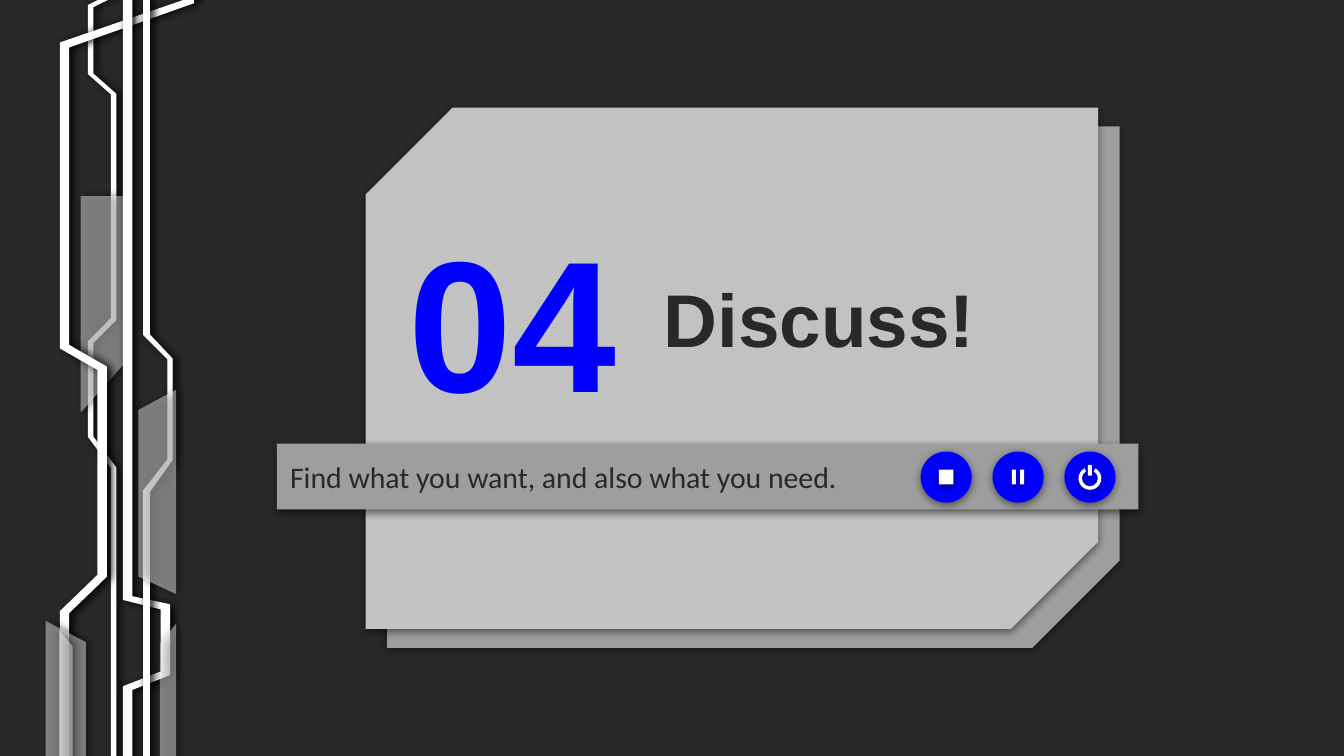
from dataclasses import dataclass

from lxml.etree import SubElement
from pptx import Presentation
from pptx.dml.color import RGBColor
from pptx.enum.shapes import MSO_SHAPE as Preset
from pptx.enum.text import MSO_ANCHOR as Anchor, PP_ALIGN as Align
from pptx.oxml.ns import qn
from pptx.util import Inches, Pt


@dataclass(frozen=True)
class Theme:
    """Colours, fonts and type sizes of the slide."""
    dark: str = "292929"
    bar: str = "9E9E9E"
    card: str = "C2C2C2"
    accent: str = "0000FF"
    white: str = "FFFFFF"
    heading: str = "Arial"
    body: str = "Calibri"
    number_size: int = 100
    title_size: int = 40
    body_size: int = 16


@dataclass(frozen=True)
class Shadow:
    """Outer shadow: opacity in percent, direction in degrees."""
    opacity: int
    direction: int


@dataclass(frozen=True)
class Circuit:
    """Outline of the left decoration; panels are translucent."""
    points: tuple
    panel: bool = False


@dataclass(frozen=True)
class Label:
    """Text with its box and type style."""
    text: str
    box: tuple
    font: str
    size: int
    color: str
    bold: bool = False
    align: Align = Align.LEFT


THEME = Theme()
DOWN, SIDE = Shadow(50, 90), Shadow(100, 0)
PANEL_OPACITY = 43

CIRCUITS = (
    Circuit(((1.25, -1.91), (1.25, -0.25), (0.66, 0.04), (0.66, 0.55), (0.83, 0.7),
             (0.83, 2.37), (0.66, 2.54), (0.66, 3.25), (0.83, 3.48), (0.83, 5.66),
             (0.86, 5.66), (0.86, 3.48), (0.69, 3.25), (0.69, 2.55), (0.86, 2.38),
             (0.86, 0.7), (0.69, 0.55), (0.69, 0.05), (1.28, -0.24), (1.28, -1.91))),
    Circuit(((0.6, 1.46), (0.6, 3.07), (0.94, 2.69), (0.94, 1.46)), panel=True),
    Circuit(((1.38, -1.96), (1.38, 0), (0.45, 0.32), (0.45, 2.59), (0.73, 2.75),
             (0.73, 4.28), (0.45, 4.55), (0.45, 5.9), (0.51, 5.9), (0.51, 4.56),
             (0.79, 4.29), (0.79, 2.73), (0.51, 2.57), (0.51, 0.35), (1.44, 0.02),
             (1.44, -1.96))),
    Circuit(((0.92, -2.03), (0.92, 4.46), (1.2, 4.53), (1.2, 5), (0.92, 5.11),
             (0.92, 5.66), (0.98, 5.66), (0.98, 5.13), (1.26, 5.02), (1.26, 4.5),
             (0.98, 4.44), (0.98, -2.03))),
    Circuit(((1.07, -2.03), (1.07, 2.49), (1.25, 2.67), (1.25, 3.42), (1.07, 3.65),
             (1.07, 5.96), (1.11, 5.96), (1.11, 3.66), (1.28, 3.42), (1.28, 2.67),
             (1.11, 2.49), (1.11, -2.03))),
    Circuit(((0.34, 4.62), (0.34, 6.19), (0.64, 6.19), (0.64, 4.78)), panel=True),
    Circuit(((1.31, 2.9), (1.03, 3.05), (1.03, 4.29), (1.31, 4.42)), panel=True),
    Circuit(((1.31, 4.64), (1.19, 4.79), (1.19, 6.03), (1.31, 6.17)), panel=True),
    Circuit(((0.44, 4.69), (0.44, 6.13), (0.54, 5.99), (0.54, 4.81)), panel=True),
)

LABELS = (
    Label("Discuss!", (4.84, 1.6, 3.58, 1.53), THEME.heading, THEME.title_size,
          THEME.dark, bold=True),
    Label("04", (2.5, 1.6, 2.63, 1.53), THEME.heading, THEME.number_size,
          THEME.accent, bold=True, align=Align.CENTER),
)
TAGLINE = Label("Find what you want, and also what you need.", (2.06, 3.3, 6.41, 0.49),
                THEME.body, THEME.body_size, THEME.dark)

BUTTON_SIZE, BUTTON_Y = 0.38, 3.55
STOP_X, PAUSE_X, POWER_X = (7.04 + 0.535 * step for step in range(3))


def paint(shape, color: str, shadow: Shadow) -> None:
    """Give a shape a plain fill, no line and an outer shadow."""
    shape.fill.solid()
    shape.fill.fore_color.rgb = RGBColor.from_string(color)
    shape.line.fill.background()
    shape.shadow.inherit = False
    effects = shape.element.spPr.find(qn("a:effectLst"))
    outer = SubElement(effects, qn("a:outerShdw"), blurRad=str(Pt(4.5)), dist=str(Pt(1.5)),
                       dir=str(shadow.direction * 60000), algn="bl", rotWithShape="0")
    tint = SubElement(outer, qn("a:srgbClr"), val="000000")
    SubElement(tint, qn("a:alpha"), val=str(shadow.opacity * 1000))


def add_preset(page, preset: Preset, box: tuple, color: str):
    """Add a painted preset shape at left, top, width, height."""
    shape = page.shapes.add_shape(preset, *map(Inches, box))
    paint(shape, color, DOWN)
    return shape


def add_centred(page, preset: Preset, x: float, y: float, width: float, height: float,
                color: str):
    """Add a preset shape around a centre point."""
    return add_preset(page, preset, (x - width / 2, y - height / 2, width, height), color)


def add_circuit(page, circuit: Circuit) -> None:
    """Draw one trace or translucent panel."""
    start, *rest = [(Inches(x), Inches(y)) for x, y in circuit.points]
    builder = page.shapes.build_freeform(*start)
    builder.add_line_segments(rest, close=True)
    shape = builder.convert_to_shape()
    paint(shape, THEME.white, SIDE)
    if circuit.panel:
        color = shape.element.spPr.find(qn("a:solidFill"))[0]
        SubElement(color, qn("a:alpha"), val=str(PANEL_OPACITY * 1000))
    else:
        shape.line.color.rgb = RGBColor.from_string(THEME.white)
        shape.line.width = Pt(0.75)


def write(shape, label: Label) -> None:
    """Put styled text in a shape or text box."""
    frame = shape.text_frame
    frame.word_wrap = True
    frame.vertical_anchor = Anchor.MIDDLE
    frame.margin_left = frame.margin_right = Inches(0.1)
    frame.margin_top = frame.margin_bottom = Inches(0.1)
    para = frame.paragraphs[0]
    para.text = label.text
    para.alignment = label.align
    para.font.name = label.font
    para.font.size = Pt(label.size)
    para.font.bold = label.bold
    para.font.color.rgb = RGBColor.from_string(label.color)


def add_buttons(page) -> None:
    """Draw the stop, pause and power buttons."""
    for x in (STOP_X, PAUSE_X, POWER_X):
        add_centred(page, Preset.OVAL, x, BUTTON_Y, BUTTON_SIZE, BUTTON_SIZE, THEME.accent)
    add_centred(page, Preset.RECTANGLE, STOP_X, BUTTON_Y, 0.11, 0.11, THEME.white)
    for offset in (-0.03, 0.03):
        add_centred(page, Preset.RECTANGLE, PAUSE_X + offset, BUTTON_Y, 0.03, 0.11,
                    THEME.white)
    ring = add_centred(page, Preset.BLOCK_ARC, POWER_X, BUTTON_Y + 0.01, 0.17, 0.17,
                       THEME.white)
    for index, degrees in enumerate((298, 242)):
        ring.adjustments[index] = degrees * 0.6
    ring.adjustments[2] = 0.15
    add_centred(page, Preset.ROUNDED_RECTANGLE, POWER_X, BUTTON_Y - 0.05, 0.03, 0.08,
                THEME.white)


def build() -> None:
    """Build and save the slide."""
    deck = Presentation()
    deck.slide_width = Inches(10)
    deck.slide_height = deck.slide_width * 9 // 16
    page = deck.slides.add_slide(deck.slide_layouts[6])
    page.background.fill.solid()
    page.background.fill.fore_color.rgb = RGBColor.from_string(THEME.dark)

    for left, top, color in ((2.88, 0.94, THEME.bar), (2.72, 0.8, THEME.card)):
        card = add_preset(page, Preset.SNIP_2_DIAG_RECTANGLE, (left, top, 5.45, 3.88), color)
        card.adjustments[0], card.adjustments[1] = 0.167, 0
    for circuit in CIRCUITS:
        add_circuit(page, circuit)
    write(add_preset(page, Preset.RECTANGLE, TAGLINE.box, THEME.bar), TAGLINE)
    for label in LABELS:
        write(page.shapes.add_textbox(*map(Inches, label.box)), label)
    add_buttons(page)
    deck.save("out.pptx")


build()
